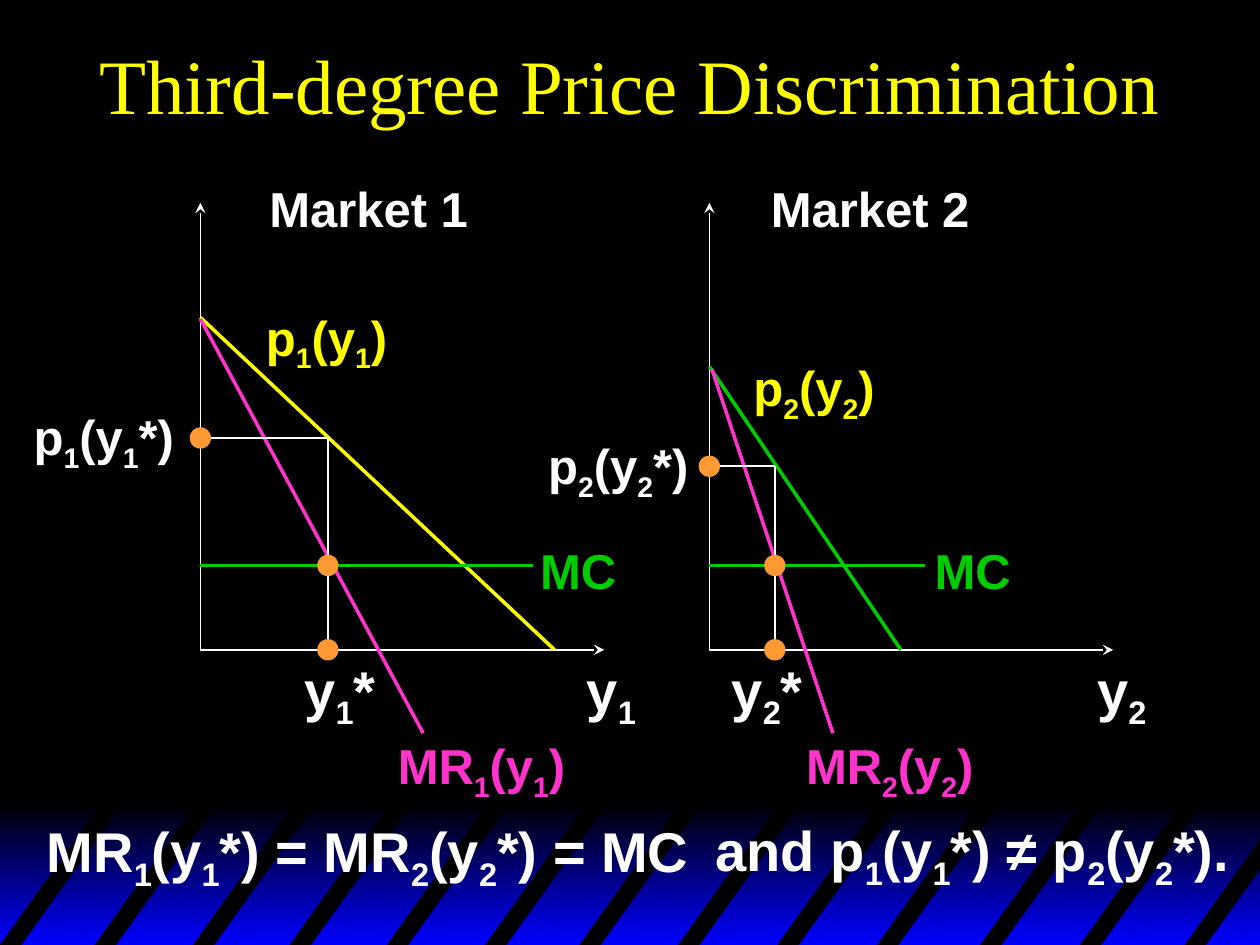
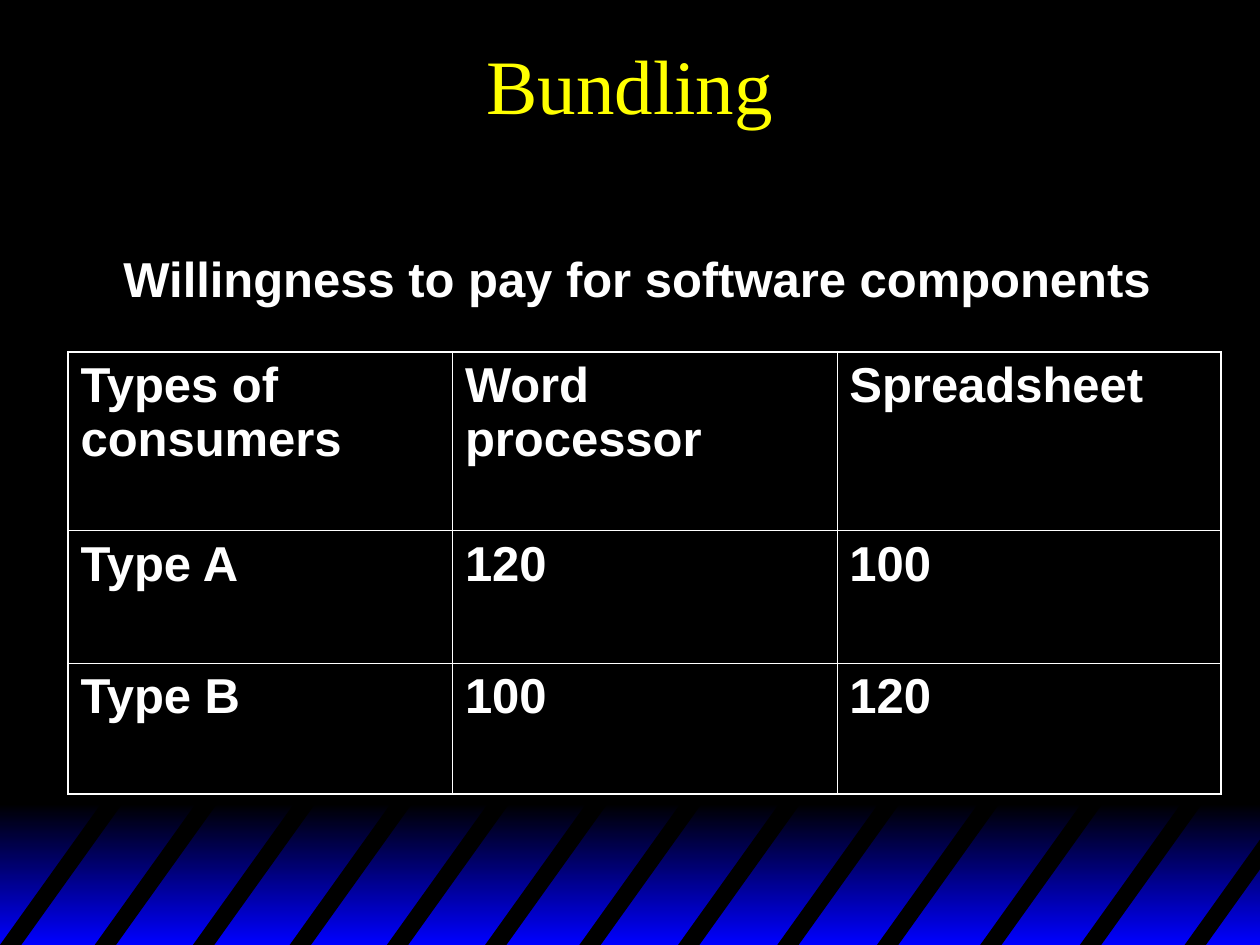
from dataclasses import dataclass

from lxml import etree
from pptx import Presentation
from pptx.dml.color import RGBColor
from pptx.enum.shapes import MSO_CONNECTOR, MSO_SHAPE
from pptx.enum.text import MSO_ANCHOR, MSO_AUTO_SIZE, PP_ALIGN
from pptx.oxml.ns import qn
from pptx.util import Cm, Pt

STRAIGHT = MSO_CONNECTOR.STRAIGHT
RECTANGLE, OVAL = MSO_SHAPE.RECTANGLE, MSO_SHAPE.OVAL
LEFT, CENTER = PP_ALIGN.LEFT, PP_ALIGN.CENTER
TOP, MIDDLE = MSO_ANCHOR.TOP, MSO_ANCHOR.MIDDLE
FIT_SHAPE = MSO_AUTO_SIZE.SHAPE_TO_FIT_TEXT
NO_TABLE_STYLE = "{2D5ABB26-0587-4C30-8999-92F81FD0307C}"

# Lengths in this file are centimetres
SLIDE_W, SLIDE_H = 25.4, 19.05
BAND_TOP, STRIPE_TOP = 16.2, 16.1
STRIPE_RUN, STRIPE_W = 2.11, 0.43
STRIPE_STARTS = (0, 1.91, 3.89, 5.84, 7.8, 9.78, 11.68, 13.67,
                 15.67, 17.68, 19.76, 21.77, 23.88)


@dataclass(frozen=True)
class Theme:
    black: str = "000000"
    white: str = "FFFFFF"
    blue: str = "0000FF"
    yellow: str = "FFFF00"
    green: str = "00CC00"
    pink: str = "FF33CC"
    orange: str = "FF9933"
    title_font: str = "Times New Roman"
    body_font: str = "Arial"
    title_size: int = 44
    large: int = 32
    body: int = 28
    axis_line: float = 1
    curve_line: float = 2
    outer_border: float = 1.08
    inner_border: float = 0.45


THEME = Theme()


def rgb(value):
    return RGBColor.from_string(value)


class Deck:
    """Holds the theme and the current slide."""

    def __init__(self, theme):
        self.theme = theme
        self.prs = Presentation()
        self.prs.slide_width, self.prs.slide_height = Cm(SLIDE_W), Cm(SLIDE_H)
        self.slide = None
        backdrop = self.prs.slide_master.background.fill
        backdrop.solid()
        backdrop.fore_color.rgb = rgb(theme.black)

    def new_slide(self, title):
        self.slide = self.prs.slides.add_slide(self.prs.slide_layouts[6])
        self.striped_band()
        self.text(title, 0, 0, SLIDE_W, 3.38, size=self.theme.title_size,
                  color=self.theme.yellow, font=self.theme.title_font,
                  bold=False, align=CENTER, anchor=MIDDLE, wrap=True)

    def striped_band(self):
        band = self.slide.shapes.add_shape(
            RECTANGLE, 0, Cm(BAND_TOP), Cm(SLIDE_W), Cm(SLIDE_H - BAND_TOP))
        band.shadow.inherit = False
        band.line.fill.background()
        band.fill.gradient()
        band.fill.gradient_angle = 270
        shades = (self.theme.black, self.theme.blue)
        for stop, position, shade in zip(band.fill.gradient_stops, (0, 1), shades):
            stop.position = position
            stop.color.rgb = rgb(shade)
        for start in STRIPE_STARTS:
            self.stripe(start)

    def stripe(self, start):
        """A slanted stripe, cut off at the right edge of the slide."""
        rise = SLIDE_H - STRIPE_TOP

        def upper_end(x):
            run = min(STRIPE_RUN, SLIDE_W - x)
            return x + run, SLIDE_H - run / STRIPE_RUN * rise

        end = start + STRIPE_W
        corners = [upper_end(start), upper_end(end), (end, SLIDE_H)]
        builder = self.slide.shapes.build_freeform(Cm(start), Cm(SLIDE_H))
        builder.add_line_segments([(Cm(x), Cm(y)) for x, y in corners])
        self.paint(builder.convert_to_shape(), self.theme.black)

    def paint(self, shape, color):
        shape.shadow.inherit = False
        shape.fill.solid()
        shape.fill.fore_color.rgb = rgb(color)
        shape.line.fill.background()

    def dot(self, x, y, size=0.43):
        shape = self.slide.shapes.add_shape(
            OVAL, Cm(x - size / 2), Cm(y - size / 2), Cm(size), Cm(size))
        self.paint(shape, self.theme.orange)

    def line(self, start, end, color, width, arrow=False):
        connector = self.slide.shapes.add_connector(
            STRAIGHT, *(Cm(value) for value in (*start, *end)))
        connector.line.color.rgb = rgb(color)
        connector.line.width = Pt(width)
        properties = connector._element.spPr
        if arrow:
            etree.SubElement(properties.find(qn("a:ln")), qn("a:tailEnd"),
                             type="stealth")
        etree.SubElement(properties, qn("a:effectLst"))

    def text(self, text, left, top, width, height, size=THEME.body,
             color=THEME.white, font=THEME.body_font, bold=True,
             align=LEFT, anchor=TOP, wrap=False):
        box = self.slide.shapes.add_textbox(
            Cm(left), Cm(top), Cm(width), Cm(height))
        frame = box.text_frame
        frame.word_wrap = wrap
        if not wrap:
            frame.auto_size = FIT_SHAPE
        frame.vertical_anchor = anchor
        paragraph = frame.paragraphs[0]
        paragraph.alignment = align
        self.fill_paragraph(paragraph, text, size, color, font, bold)

    def fill_paragraph(self, paragraph, text, size, color, font, bold):
        """Style and fill a paragraph; the digit after "_" is a subscript."""
        style = paragraph.font
        style.size, style.name, style.bold = Pt(size), font, bold
        style.color.rgb = rgb(color)
        first, *rest = text.split("_")
        paragraph.add_run().text = first
        for piece in rest:
            subscript = paragraph.add_run()
            subscript.text = piece[0]
            subscript._r.get_or_add_rPr().set("baseline", "-25000")
            if piece[1:]:
                paragraph.add_run().text = piece[1:]

    def table(self, rows, left, top, column_width, row_heights):
        theme = self.theme
        row_count, column_count = len(rows), len(rows[0])
        table = self.slide.shapes.add_table(
            row_count, column_count, Cm(left), Cm(top),
            Cm(column_width * column_count), Cm(sum(row_heights))).table
        table.first_row = table.horz_banding = False
        table._tbl.tblPr.find(qn("a:tableStyleId")).text = NO_TABLE_STYLE
        for column in table.columns:
            column.width = Cm(column_width)
        for r, (values, height) in enumerate(zip(rows, row_heights)):
            table.rows[r].height = Cm(height)
            for c, value in enumerate(values):
                cell = table.cell(r, c)
                self.fill_paragraph(cell.text_frame.paragraphs[0], value,
                                    theme.body, theme.white, theme.body_font,
                                    True)
                self.borders(cell, {"L": c == 0, "R": c == column_count - 1,
                                    "T": r == 0, "B": r == row_count - 1})
                cell.fill.background()

    def borders(self, cell, outer_sides):
        properties = cell._tc.get_or_add_tcPr()
        for side, outer in outer_sides.items():
            width = self.theme.outer_border if outer else self.theme.inner_border
            border = etree.SubElement(properties, qn(f"a:ln{side}"),
                                      w=str(Pt(width)))
            fill = etree.SubElement(border, qn("a:solidFill"))
            etree.SubElement(fill, qn("a:srgbClr"), val=self.theme.white)


@dataclass(frozen=True)
class Market:
    number: int
    origin: float
    demand_color: str
    demand_top: float
    demand_end: float
    revenue_start: tuple
    revenue_end: float
    cost_end: float
    best_output: float
    best_price: float
    # Label places
    heading_left: float
    demand_label: tuple
    price_label: tuple
    cost_left: float
    output_left: float
    axis_left: float
    revenue_left: float


MARKETS = (
    Market(1, 4.04, THEME.yellow, 6.4, 11.18, (4.04, 6.43), 8.53, 10.74,
           6.61, 8.83, heading_left=5.18, demand_label=(5.11, 6.07),
           price_label=(0.43, 8.08), cost_left=10.64, output_left=5.89,
           axis_left=11.58, revenue_left=7.77),
    Market(2, 14.3, THEME.green, 7.39, 18.16, (14.35, 7.44), 16.79, 18.64,
           15.62, 9.4, heading_left=15.29, demand_label=(14.94, 7.09),
           price_label=(10.8, 8.66), cost_left=18.59, output_left=14.5,
           axis_left=21.87, revenue_left=16),
)

AXIS_TOP, BASELINE, AXIS_LENGTH = 4.09, 13.1, 8.14
COST_Y, REVENUE_BOTTOM = 11.4, 14.78


def draw_market(deck, m):
    theme, n = deck.theme, m.number
    corner = (m.origin, BASELINE)
    optimum = (m.best_output, m.best_price)

    # Axes
    for tip in ((m.origin, AXIS_TOP), (m.origin + AXIS_LENGTH, BASELINE)):
        deck.line(corner, tip, theme.white, theme.axis_line, arrow=True)

    # Demand, marginal revenue and marginal cost
    for start, end, color in (
            ((m.origin, m.demand_top), (m.demand_end, BASELINE), m.demand_color),
            (m.revenue_start, (m.revenue_end, REVENUE_BOTTOM), theme.pink),
            ((m.origin, COST_Y), (m.cost_end, COST_Y), theme.green)):
        deck.line(start, end, color, theme.curve_line)

    # Guides to the chosen output and price
    output_foot = (m.best_output, BASELINE)
    price_foot = (m.origin, m.best_price)
    for foot in (output_foot, price_foot):
        deck.line(optimum, foot, theme.white, theme.axis_line)
    for point in ((m.best_output, COST_Y), price_foot, output_foot):
        deck.dot(*point)

    # Labels
    deck.text(f"MR_{n}(y_{n})", m.revenue_left, 14.71, 3.89, 1.6, color=theme.pink)
    deck.text(f"y_{n}", m.axis_left, 13.08, 1.5, 1.8, size=theme.large)
    deck.text(f"y_{n}*", m.output_left, 13.08, 1.96, 1.8, size=theme.large)
    deck.text(f"p_{n}(y_{n}*)", *m.price_label, 3.35, 1.6)
    deck.text("MC", m.cost_left, 10.77, 2.06, 1.45, color=theme.green)
    deck.text(f"p_{n}(y_{n})", *m.demand_label, 2.95, 1.6, color=theme.yellow)
    deck.text(f"Market {n}", m.heading_left, 3.48, 4.52, 1.45)


def main():
    deck = Deck(THEME)

    # Slide 1: two markets side by side
    deck.new_slide("Third-degree Price Discrimination")
    for market in MARKETS:
        draw_market(deck, market)
    deck.text("MR_1(y_1*) = MR_2(y_2*) = MC", 0.69, 16.33, 13.46, 1.8,
              size=THEME.large)
    deck.text("and p_1(y_1*) ≠ p_2(y_2*).", 14.17, 16.31, 11.23, 1.8,
              size=THEME.large, wrap=True)

    # Slide 2: willingness to pay
    deck.new_slide("Bundling")
    deck.table([("Types of consumers", "Word processor", "Spreadsheet"),
                ("Type A", "120", "100"),
                ("Type B", "100", "120")],
               1.37, 7.09, 7.75, (3.61, 2.67, 2.64))
    deck.text("Willingness to pay for software components",
              2.24, 4.88, 21.59, 1.45, wrap=True)

    deck.prs.save("out.pptx")


if __name__ == "__main__":
    main()
